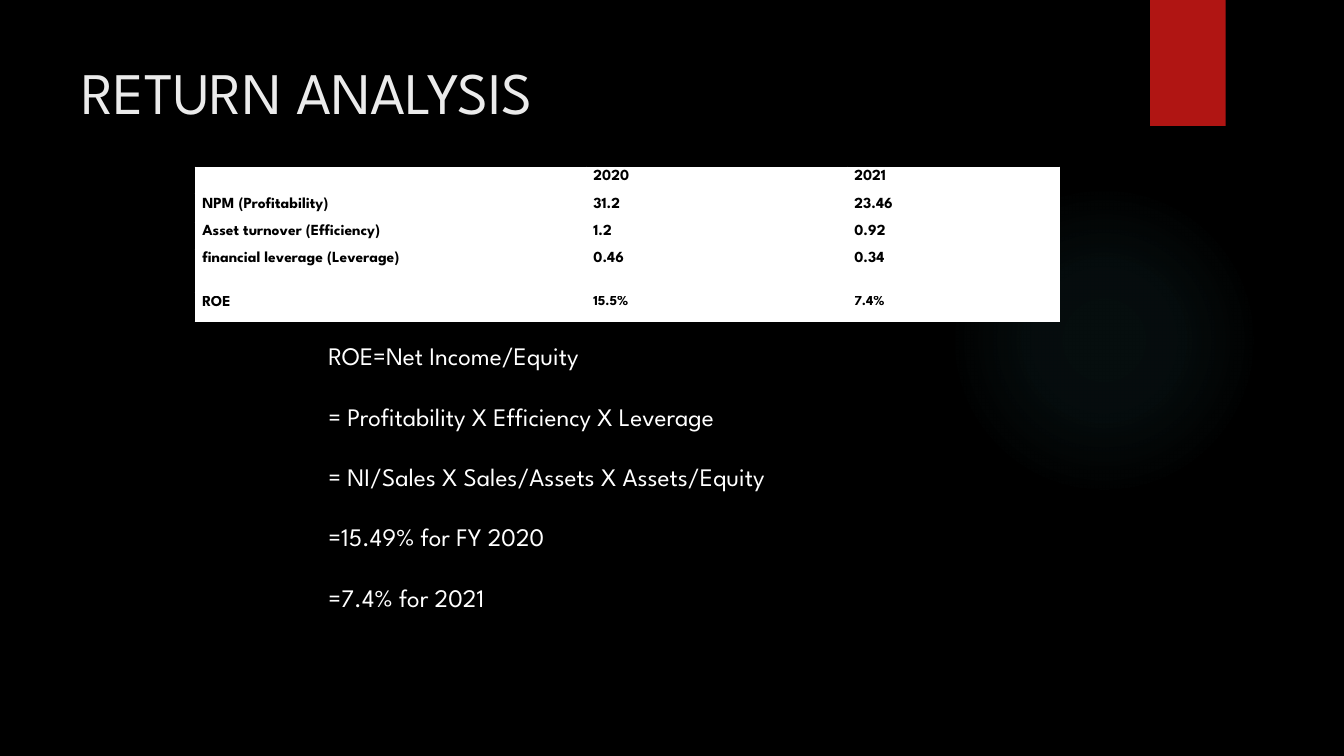
import pptx
import pptx.dml.color
import pptx.enum.shapes
import pptx.oxml
import pptx.oxml.ns
import pptx.util

Pt = pptx.util.Pt
SHAPE = pptx.enum.shapes.MSO_SHAPE
FONT = "League Spartan"
NAMESPACE = pptx.oxml.ns.nsdecls("a")

HEADER = ["", "2020", "2021"]
RATIOS = [
    ["NPM (Profitability)", "31.2", "23.46"],
    ["Asset turnover (Efficiency)", "1.2", "0.92"],
    ["financial leverage (Leverage)", "0.46", "0.34"],
    ["ROE", "15.5%", "7.4%"],
]
FORMULA = [
    "ROE=Net Income/Equity",
    "= Profitability X Efficiency X Leverage",
    "= NI/Sales X Sales/Assets X Assets/Equity",
    "=15.49% for FY 2020",
    "=7.4% for 2021",
]


def color(value):
    return pptx.dml.color.RGBColor.from_string(value)


def style(para, size, tint, bold=False):
    para.font.name = FONT
    para.font.size = Pt(size)
    para.font.color.rgb = color(tint)
    para.font.bold = bold


def add_shape(page, kind, box, fill):
    shape = page.shapes.add_shape(kind, *map(Pt, box))
    shape.shadow.inherit = False
    shape.fill.solid()
    shape.fill.fore_color.rgb = color(fill)
    shape.line.fill.background()
    return shape


def add_glow(page, box, tint, stops):
    """Circle that fades out from its centre; stops are (position, opacity)."""
    glow = add_shape(page, SHAPE.OVAL, box, tint)
    marks = "".join(
        f'<a:gs pos="{position * 1000}"><a:srgbClr val="{tint}">'
        f'<a:alpha val="{opacity * 1000}"/></a:srgbClr></a:gs>'
        for position, opacity in stops)
    gradient = pptx.oxml.parse_xml(
        f'<a:gradFill {NAMESPACE}><a:gsLst>{marks}</a:gsLst><a:path path="circle">'
        '<a:fillToRect l="50000" t="50000" r="50000" b="50000"/></a:path></a:gradFill>')
    properties = glow.element.spPr
    properties.replace(properties.find(pptx.oxml.ns.qn("a:solidFill")), gradient)


def add_text(page, box, lines, size, tint, gap=0):
    frame = page.shapes.add_textbox(*map(Pt, box)).text_frame
    frame.word_wrap = True
    for index, line in enumerate(lines):
        para = frame.paragraphs[0] if index == 0 else frame.add_paragraph()
        para.text = line
        para.space_before = Pt(gap if index else 0)
        style(para, size, tint)


def add_borders(cell, tint, widths):
    for side, width in zip("LRTB", widths):
        cell._tc.get_or_add_tcPr().append(pptx.oxml.parse_xml(
            f'<a:ln{side} {NAMESPACE} w="{Pt(width)}"><a:solidFill>'
            f'<a:srgbClr val="{tint}"/></a:solidFill></a:ln{side}>'))


def add_ratio_table(page, box, rows, widths, heights):
    table = page.shapes.add_table(len(rows), len(widths), *map(Pt, box)).table
    for column, width in zip(table.columns, widths):
        column.width = Pt(width)
    for row, height in zip(table.rows, heights):
        row.height = Pt(height)
    last = len(rows) - 1
    for i, values in enumerate(rows):
        for j, value in enumerate(values):
            cell = table.cell(i, j)
            # Heavier rules under the header and above the result
            top = 3 if i in (1, last) else 1
            bottom = 3 if i in (0, last - 1) else 1
            add_borders(cell, "FFFFFF", (1, 1, top, bottom))
            cell.fill.solid()
            cell.fill.fore_color.rgb = color("FFFFFF")
            cell.margin_left = Pt(5)
            cell.margin_right = cell.margin_top = cell.margin_bottom = 0
            # The result percentages are set slightly smaller
            result = i == last and j > 0
            para = cell.text_frame.paragraphs[0]
            para.text = value
            para.line_spacing = Pt(10.5 if result else 11.7)
            para.space_before = Pt(3.6 if result else 2.5)
            style(para, 10 if result else 11, "000000", bold=True)


def add_backdrop(page, box):
    left, top, width, height = box
    page.background.fill.solid()
    page.background.fill.fore_color.rgb = color("000000")
    add_glow(page, (left + 677.5, top + 131.8, 221.8, 221.8), "50B9C1",
             [(0, 7), (36, 6), (69, 0)])
    add_shape(page, SHAPE.RECTANGLE, (left + 821.5, top, 54, 90), "B01513")


def add_analysis(page, box):
    left, top, width, height = box
    add_text(page, (left + 51, top + 36, 741, 110), ["RETURN ANALYSIS"], 42, "EBEBEB")
    add_ratio_table(page, (left + 139.5, top + 119.5, 617, 110.5),
                    [HEADER] + RATIOS, [279.4, 186.4, 151.2], [20, 19.5, 19.5, 31.5, 20])
    add_text(page, (left + 227.5, top + 239.8, 432.5, 225.5), FORMULA, 18, "FFFFFF",
             gap=21.5)


deck = pptx.Presentation()
deck.slide_width, deck.slide_height = Pt(960), Pt(540)
page = deck.slides.add_slide(deck.slide_layouts[6])
whole = (0, 0, 960, 540)
add_backdrop(page, whole)
add_analysis(page, whole)
deck.save("out.pptx")
